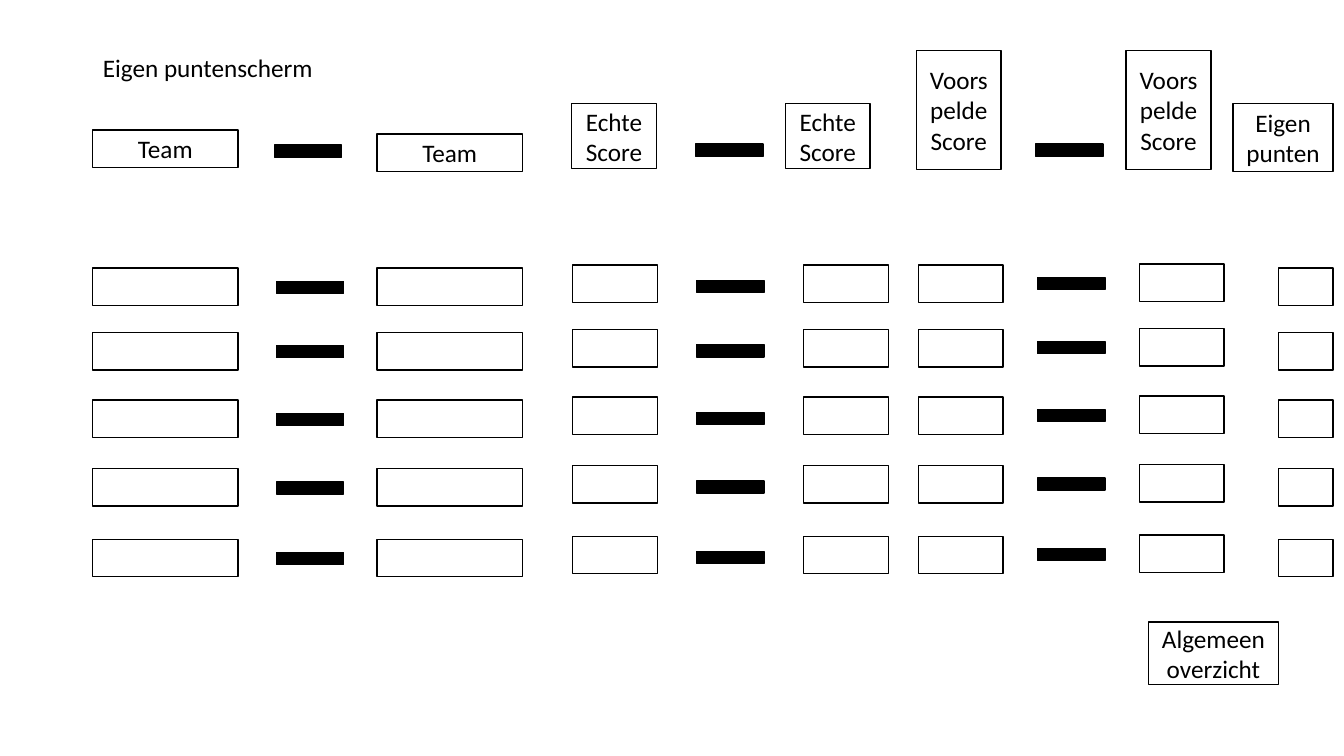
import pptx
import pptx.util
import pptx.dml.color
import pptx.enum.shapes
import pptx.enum.text
import lxml.etree

Inches, Pt = pptx.util.Inches, pptx.util.Pt
RGB = pptx.dml.color.RGBColor.from_string
SHAPE = pptx.enum.shapes.MSO_SHAPE
COLORS = {"box": "FFFFFF", "ink": "000000"}

prs = pptx.Presentation()
prs.slide_width, prs.slide_height = Inches(13.33), Inches(7.5)
s = prs.slides.add_slide(prs.slide_layouts[1])


def format_text(p):
    for r in p.runs:
        r.font.name = "Calibri"
        r.font.size = Pt(18)
        r.font.color.rgb = RGB(COLORS["ink"])


def add_box(x, y, w, h, text="", fill="box", kind=SHAPE.RECTANGLE):
    sp = s.shapes.add_shape(kind, Inches(x), Inches(y), Inches(w), Inches(h))
    sp.shadow.inherit = False
    sp.fill.solid()
    sp.fill.fore_color.rgb = RGB(COLORS[fill])
    sp.line.color.rgb = RGB(COLORS["ink"])
    sp.line.width = Pt(1)
    if text:
        tf = sp.text_frame
        tf.word_wrap = True
        tf.vertical_anchor = pptx.enum.text.MSO_ANCHOR.MIDDLE
        p = tf.paragraphs[0]
        p.text = text
        p.alignment = pptx.enum.text.PP_ALIGN.CENTER
        format_text(p)


# Heading in the body placeholder, without bullet
title = s.shapes.title
title.element.getparent().remove(title.element)
body = s.placeholders[1]
body.left, body.top = Inches(0.92), Inches(0.5)
body.width, body.height = Inches(11.5), Inches(6.26)
p = body.text_frame.paragraphs[0]
p.text = "Eigen puntenscherm"
p.line_spacing = 0.9
p.space_before = Pt(10)
format_text(p)
pPr = p._p.get_or_add_pPr()
pPr.set("marL", "0")
pPr.set("indent", "0")
lxml.etree.SubElement(pPr, pptx.oxml.ns.qn("a:buNone"))

# Column headers: left, top, width, height, text
headers = [
    (0.92, 1.29, 1.44, 0.37, "Team"),
    (3.74, 1.33, 1.44, 0.37, "Team"),
    (5.67, 1.03, 0.84, 0.64, "Echte Score"),
    (7.79, 1.03, 0.84, 0.64, "Echte Score"),
    (9.09, 0.5, 0.84, 1.18, "Voorspelde Score"),
    (11.17, 0.5, 0.84, 1.18, "Voorspelde Score"),
    (12.23, 1.03, 0.99, 0.67, "Eigen punten"),
]
for header in headers:
    add_box(*header)

dash_w, dash_h = 0.67, 0.12
for x, y in [(2.72, 1.44), (6.9, 1.43), (10.27, 1.43)]:
    add_box(x, y, dash_w, dash_h, fill="ink")

# Match rows: left, offset from row top, width of each field
fields = [
    (0.92, 0.03, 1.44), (3.74, 0.03, 1.44),
    (5.68, 0, 0.84), (7.97, 0, 0.84),
    (9.11, 0, 0.84), (11.3, -0.01, 0.84),
    (12.68, 0.03, 0.54),
]
dashes = [(2.74, 0.16), (6.91, 0.15), (10.29, 0.12)]
for row_top in [2.63, 3.27, 3.94, 4.62, 5.32]:
    for x, dy, w in fields:
        add_box(x, row_top + dy, w, 0.37)
    for x, dy in dashes:
        add_box(x, row_top + dy, dash_w, dash_h, fill="ink")

# Button to the overview
add_box(11.39, 6.17, 1.29, 0.62, "Algemeen overzicht",
        kind=SHAPE.ACTION_BUTTON_CUSTOM)

prs.save("out.pptx")
